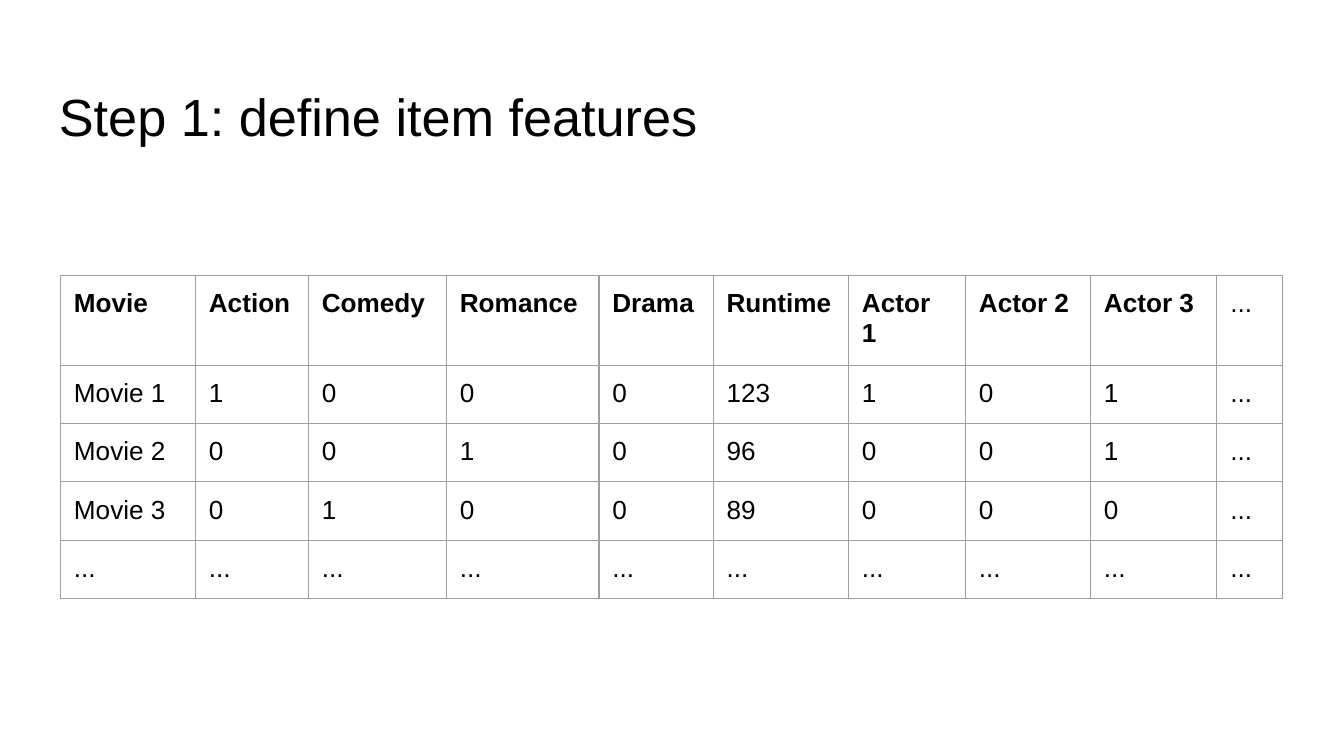
from itertools import product

from lxml.etree import SubElement
from pptx import Presentation
from pptx.dml.color import RGBColor
from pptx.enum.text import MSO_ANCHOR
from pptx.oxml.ns import qn
from pptx.util import Pt

TITLE = "Step 1: define item features"
ROWS = [
    ["Movie", "Action", "Comedy", "Romance", "Drama", "Runtime", "Actor 1", "Actor 2", "Actor 3", "..."],
    ["Movie 1", "1", "0", "0", "0", "123", "1", "0", "1", "..."],
    ["Movie 2", "0", "0", "1", "0", "96", "0", "0", "1", "..."],
    ["Movie 3", "0", "1", "0", "0", "89", "0", "0", "0", "..."],
    ["..."] * 10,
]
COLUMN_WIDTHS = [72.3, 60.5, 74, 81.7, 61.2, 72.5, 62.7, 67, 67.7, 35.4]
ROW_HEIGHTS = [46] + [30.2] * 4
COLORS = {"text": "000000", "border": "9E9E9E", "background": "FFFFFF"}
FONT = "Arial"
INSET = 7.2


def write_text(text_frame, text, size=14, bold=False, color="text"):
    paragraph = text_frame.paragraphs[0]
    run = paragraph.add_run()
    run.text = text
    run.font.name = FONT
    run.font.size = Pt(size)
    run.font.bold = bold
    run.font.color.rgb = RGBColor.from_string(COLORS[color])


def set_margins(target):
    target.margin_left = target.margin_right = Pt(INSET)
    target.margin_top = target.margin_bottom = Pt(INSET)


def add_borders(cell):
    properties = cell._tc.get_or_add_tcPr()
    for side in ("lnL", "lnR", "lnT", "lnB"):
        line = SubElement(properties, qn(f"a:{side}"), w=str(Pt(0.75)))
        fill = SubElement(line, qn("a:solidFill"))
        SubElement(fill, qn("a:srgbClr"), val=COLORS["border"])


def add_title(slide):
    shape = slide.shapes.add_textbox(Pt(24.5), Pt(38), Pt(671), Pt(45))
    text_frame = shape.text_frame
    text_frame.word_wrap = True
    text_frame.vertical_anchor = MSO_ANCHOR.TOP
    set_margins(text_frame)
    write_text(text_frame, TITLE, size=28)


def add_feature_table(slide):
    frame = slide.shapes.add_table(
        len(ROWS), len(COLUMN_WIDTHS), Pt(32.4), Pt(147.6),
        Pt(sum(COLUMN_WIDTHS)), Pt(sum(ROW_HEIGHTS)),
    )
    table = frame.table
    table.first_row = table.horz_banding = False
    for column, width in zip(table.columns, COLUMN_WIDTHS):
        column.width = Pt(width)
    for row, height in zip(table.rows, ROW_HEIGHTS):
        row.height = Pt(height)
    for row, column in product(range(len(ROWS)), range(len(COLUMN_WIDTHS))):
        cell = table.cell(row, column)
        text = ROWS[row][column]
        add_borders(cell)
        cell.fill.background()
        set_margins(cell)
        write_text(cell.text_frame, text, bold=row == 0 and text != "...")


def main():
    presentation = Presentation()
    presentation.slide_width = Pt(720)
    presentation.slide_height = Pt(405)
    slide = presentation.slides.add_slide(presentation.slide_layouts[6])
    slide.background.fill.solid()
    slide.background.fill.fore_color.rgb = RGBColor.from_string(COLORS["background"])
    add_title(slide)
    add_feature_table(slide)
    presentation.save("out.pptx")


if __name__ == "__main__":
    main()
